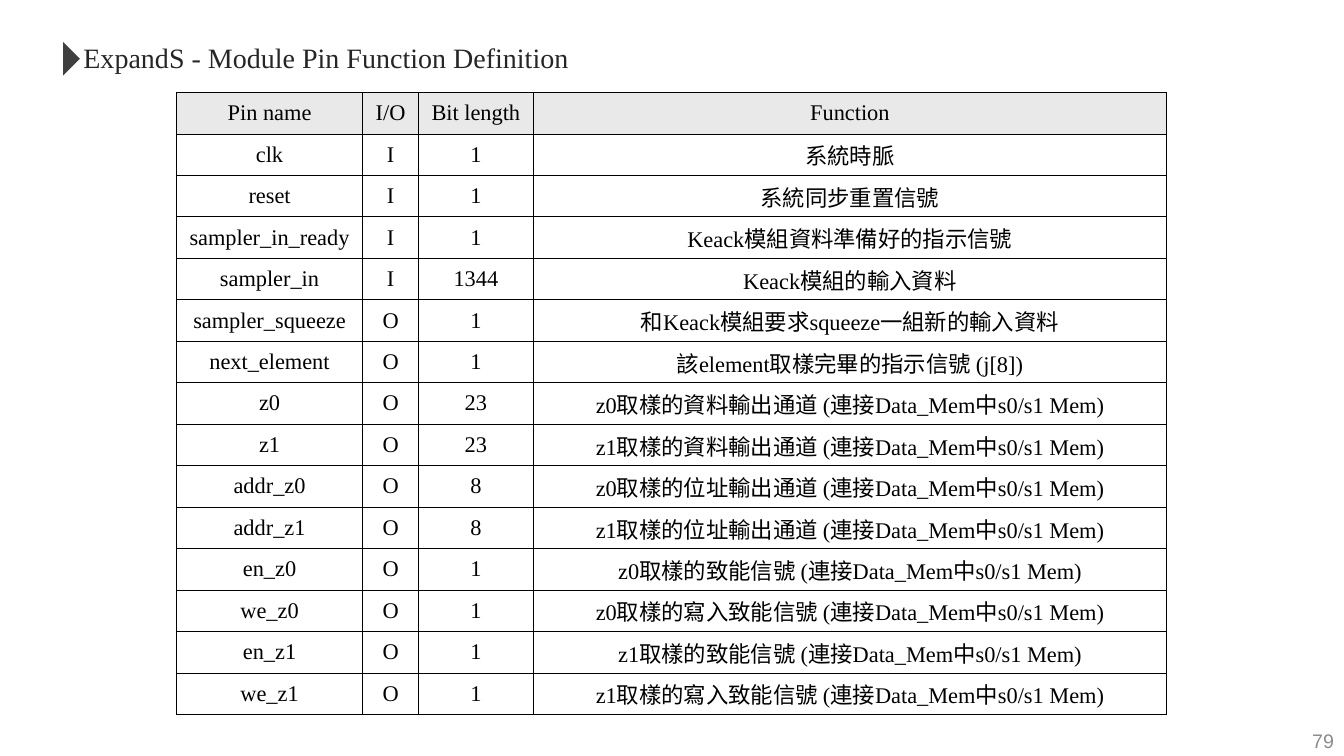
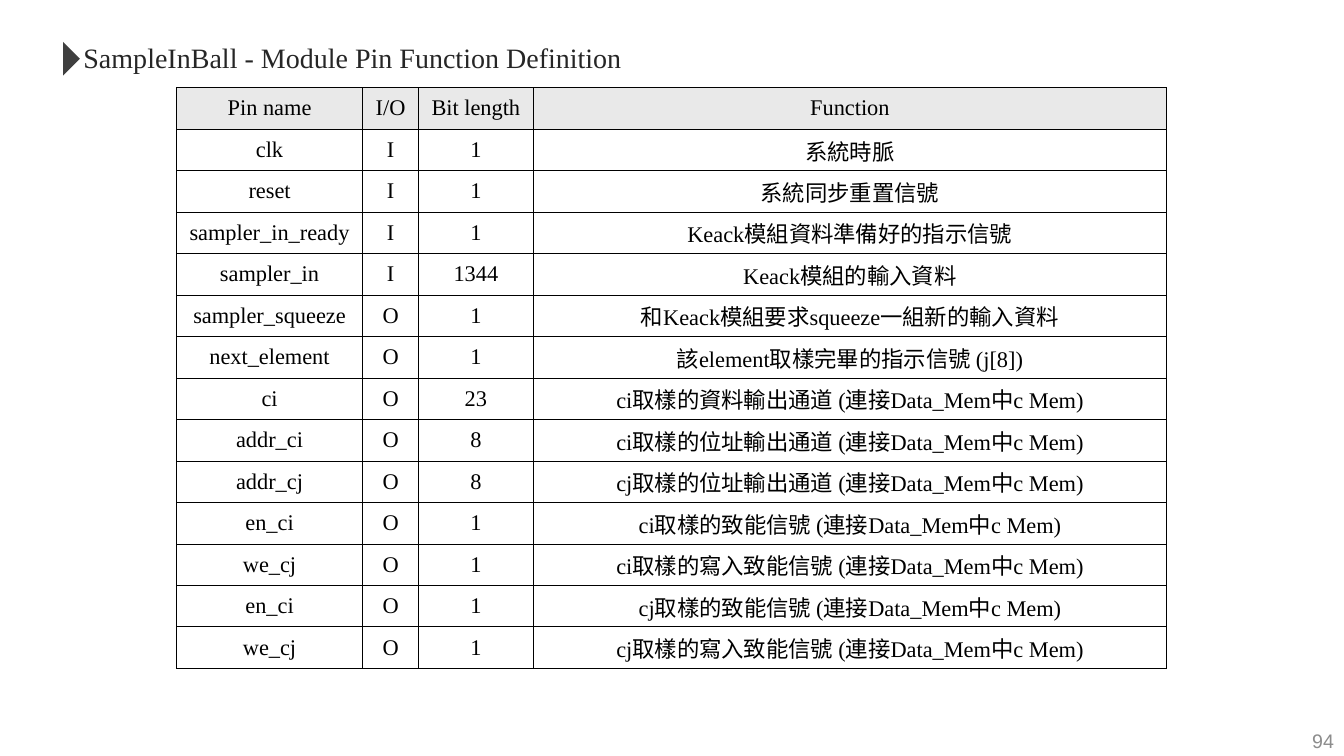
"""Build two slides of module pin definition tables."""
from dataclasses import dataclass

from lxml.etree import SubElement
from pptx import Presentation
from pptx.dml.color import RGBColor as Rgb
from pptx.enum.shapes import MSO_SHAPE as Shape
from pptx.enum.text import MSO_ANCHOR as Anchor
from pptx.enum.text import MSO_AUTO_SIZE as AutoSize
from pptx.enum.text import PP_ALIGN as Align
from pptx.oxml.ns import qn
from pptx.util import Emu, Pt

PX_PER_INCH = 192


@dataclass(frozen=True)
class Theme:
    title_color: str = "262626"
    marker_color: str = "3F3F3F"
    page_color: str = "8C8C8C"
    text_color: str = "000000"
    border_color: str = "000000"
    header_fill: str = "E9E9E9"
    name_fill: str = "FFFFFF"
    background: str = "FFFFFF"
    serif: str = "Times New Roman"
    sans: str = "Arial"
    title_size: int = 20
    table_size: int = 16
    page_size: int = 14
    border_pt: float = 0.5


THEME = Theme()
SLIDE_SIZE = (2560, 1440)
TABLE_LEFT = 336
COLUMN_WIDTHS = (355, 106, 219, 1206)
ROW_HEIGHT = 79

HEADER = ("Pin name", "I/O", "Bit length", "Function")
COMMON_PINS = [
    ("clk", "I", "1", "系統時脈"),
    ("reset", "I", "1", "系統同步重置信號"),
    ("sampler_in_ready", "I", "1", "Keack模組資料準備好的指示信號"),
    ("sampler_in", "I", "1344", "Keack模組的輸入資料"),
    ("sampler_squeeze", "O", "1", "和Keack模組要求squeeze一組新的輸入資料"),
    ("next_element", "O", "1", "該element取樣完畢的指示信號 (j[8])"),
]
DATA = ("23", "資料輸出通道")
ADDRESS = ("8", "位址輸出通道")
ENABLE = ("1", "致能信號")
WRITE = ("1", "寫入致能信號")

EXPAND_S_OUTPUTS = [
    ("z0", "z0", DATA),
    ("z1", "z1", DATA),
    ("addr_z0", "z0", ADDRESS),
    ("addr_z1", "z1", ADDRESS),
    ("en_z0", "z0", ENABLE),
    ("we_z0", "z0", WRITE),
    ("en_z1", "z1", ENABLE),
    ("we_z1", "z1", WRITE),
]
SAMPLE_IN_BALL_OUTPUTS = [
    ("ci", "ci", DATA),
    ("addr_ci", "ci", ADDRESS),
    ("addr_cj", "cj", ADDRESS),
    ("en_ci", "ci", ENABLE),
    ("we_cj", "ci", WRITE),
    ("en_ci", "cj", ENABLE),
    ("we_cj", "cj", WRITE),
]


def px(length):
    """Turn whole pixels into EMU."""
    return Emu(round(length * 914400 / PX_PER_INCH))


def box(left, top, width, height):
    """Turn a pixel rectangle into EMU values."""
    return [px(length) for length in (left, top, width, height)]


def write(frame, text, font_name, size, color, align=Align.LEFT):
    """Put one styled line of text into a text frame."""
    frame.text = text
    line = frame.paragraphs[0]
    line.alignment = align
    font = line.runs[0].font
    font.name = font_name
    font.size = Pt(size)
    font.bold = False
    font.color.rgb = Rgb.from_string(color)


def add_title(slide, module, width):
    """Add the title with its arrow marker as one group."""
    heading = slide.shapes.add_group_shape()
    title = heading.shapes.add_textbox(*box(140, 67, width, 84))
    frame = title.text_frame
    frame.word_wrap = False
    frame.auto_size = AutoSize.SHAPE_TO_FIT_TEXT
    write(frame, f"{module} - Module Pin Function Definition",
          THEME.serif, THEME.title_size, THEME.title_color)
    marker = heading.shapes.add_shape(
        Shape.ISOSCELES_TRIANGLE, *box(104, 96, 64, 32))
    marker.rotation = 90
    marker.shadow.inherit = False
    marker.fill.solid()
    marker.fill.fore_color.rgb = Rgb.from_string(THEME.marker_color)
    marker.line.fill.background()


def add_page_number(slide, number):
    """Add the page number in the bottom right corner."""
    frame = slide.shapes.add_textbox(*box(1984, 1373, 576, 77)).text_frame
    frame.word_wrap = True
    frame.vertical_anchor = Anchor.MIDDLE
    write(frame, str(number), THEME.sans, THEME.page_size,
          THEME.page_color, Align.RIGHT)


def add_borders(cell):
    """Draw a thin line on all four sides of a cell."""
    properties = cell._tc.get_or_add_tcPr()
    for side in ("lnL", "lnR", "lnT", "lnB"):
        line = SubElement(properties, qn(f"a:{side}"),
                          w=str(Pt(THEME.border_pt)))
        fill = SubElement(line, qn("a:solidFill"))
        SubElement(fill, qn("a:srgbClr"), val=THEME.border_color)


def fill_cell(cell, text, fill_color):
    """Write and style one table cell."""
    cell.vertical_anchor = Anchor.MIDDLE
    write(cell.text_frame, text, THEME.serif, THEME.table_size,
          THEME.text_color, Align.CENTER)
    add_borders(cell)
    if fill_color:
        cell.fill.solid()
        cell.fill.fore_color.rgb = Rgb.from_string(fill_color)
    else:
        cell.fill.background()


def add_pin_table(slide, top, pins):
    """Add the table of pins under its header row."""
    rows = [HEADER, *pins]
    table = slide.shapes.add_table(
        len(rows), len(HEADER),
        *box(TABLE_LEFT, top, sum(COLUMN_WIDTHS), ROW_HEIGHT * len(rows)),
    ).table
    table.horz_banding = False
    for column, width in zip(table.columns, COLUMN_WIDTHS):
        column.width = px(width)
    for r, values in enumerate(rows):
        table.rows[r].height = px(ROW_HEIGHT)
        for c, value in enumerate(values):
            body_fill = THEME.name_fill if c == 0 else None
            fill_cell(table.cell(r, c), value,
                      THEME.header_fill if r == 0 else body_fill)


def output_pins(outputs, memory):
    """Spell out the rows of the sampled output pins."""
    return [
        (pin, "O", bits, f"{sample}取樣的{role} (連接Data_Mem中{memory})")
        for pin, sample, (bits, role) in outputs
    ]


def add_module_slide(deck, module, title_width, page, table_top, pins):
    """Add one slide that defines the pins of a module."""
    slide = deck.slides.add_slide(deck.slide_layouts[6])
    slide.background.fill.solid()
    slide.background.fill.fore_color.rgb = Rgb.from_string(THEME.background)
    add_title(slide, module, title_width)
    add_page_number(slide, page)
    add_pin_table(slide, table_top, COMMON_PINS + pins)


def main():
    """Build and save the deck."""
    deck = Presentation()
    deck.slide_width, deck.slide_height = map(px, SLIDE_SIZE)
    add_module_slide(deck, "ExpandS", 983, 79, 176,
                     output_pins(EXPAND_S_OUTPUTS, "s0/s1 Mem"))
    add_module_slide(deck, "SampleInBall", 1094, 94, 167,
                     output_pins(SAMPLE_IN_BALL_OUTPUTS, "c Mem"))
    deck.save("out.pptx")


if __name__ == "__main__":
    main()
